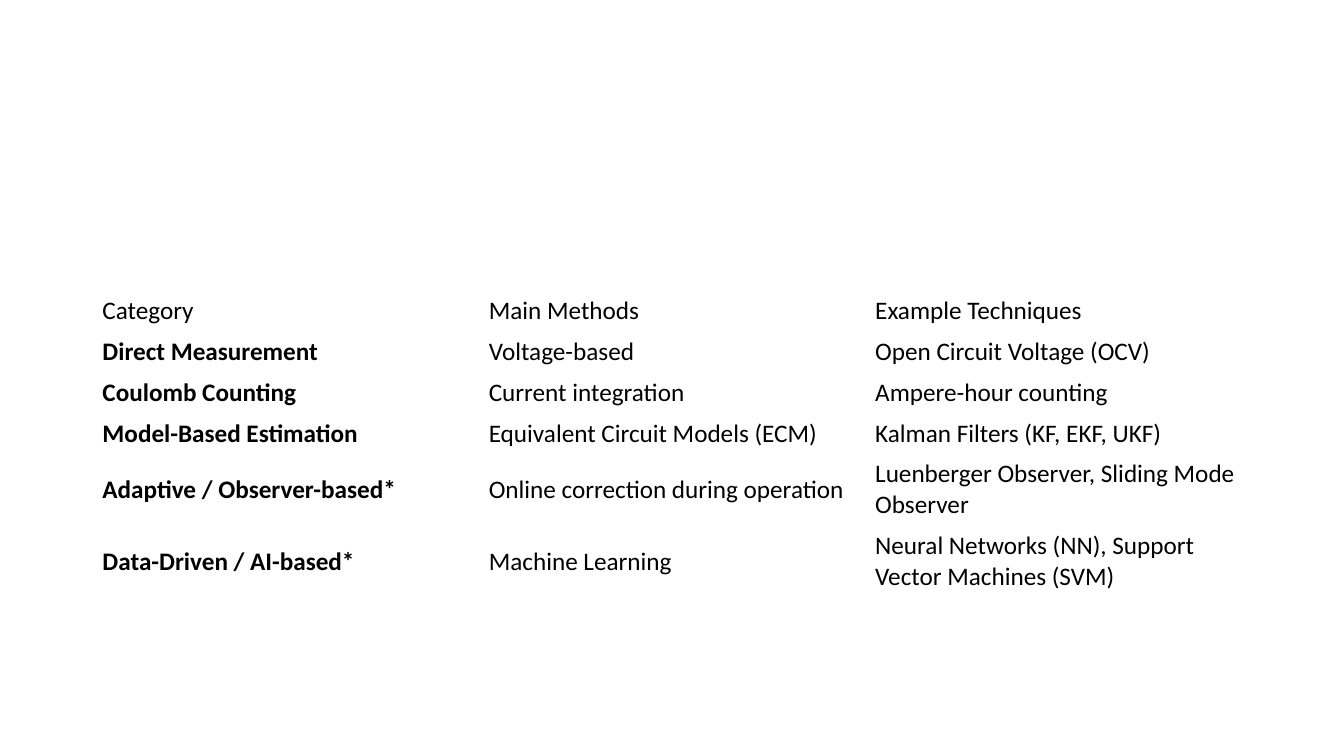
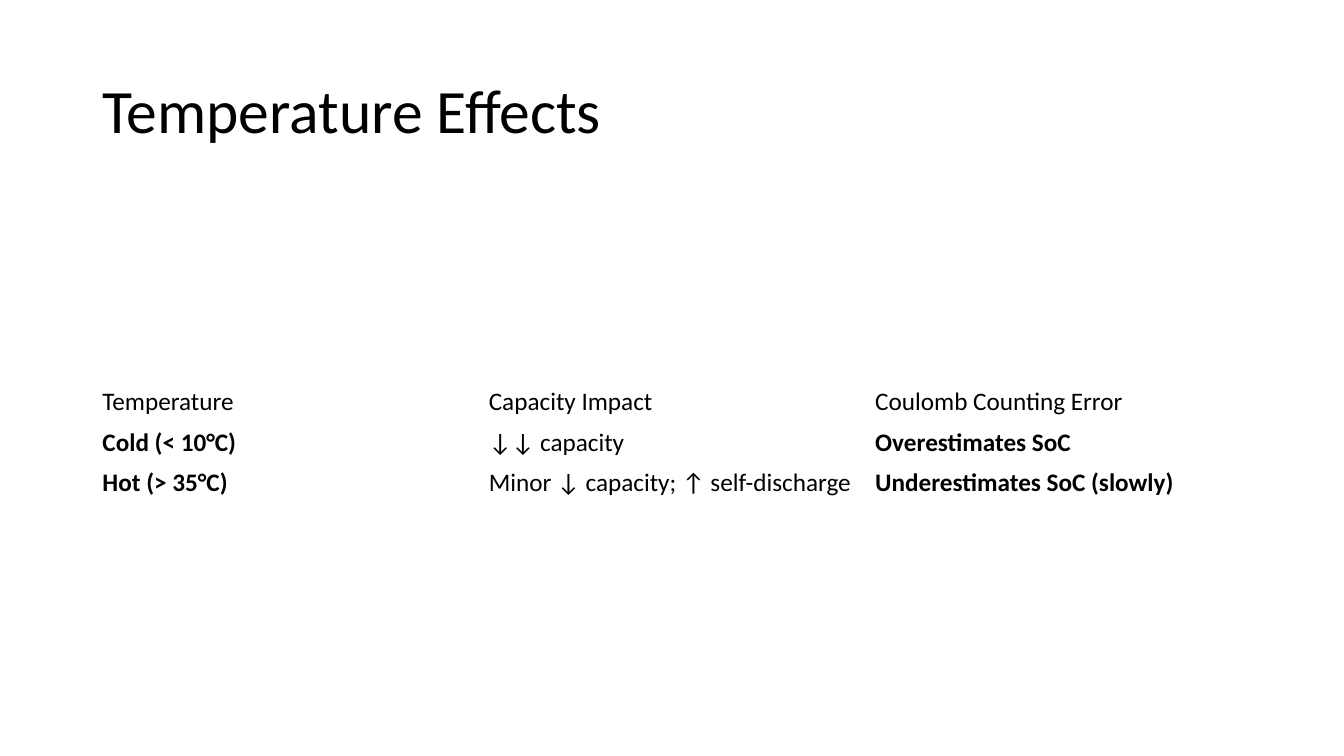
"""Build two slides on state-of-charge estimation and temperature effects."""
from dataclasses import dataclass

from pptx import Presentation
from pptx import util as u
from pptx.dml.color import RGBColor
from pptx.enum import text

INK = RGBColor(0x00, 0x00, 0x00)
FONT = "Calibri"
LEFT, WIDTH = 66, 828
TITLE_TOP, TITLE_HEIGHT = 28.8, 104.4
BODY_SIZE, TITLE_SIZE = 18, 44
LINE_HEIGHT, CELL_PADDING = 22, 7.2


@dataclass(frozen=True)
class Row:
    cells: tuple[str, ...]
    lines: int = 1

    @property
    def height(self) -> float:
        return self.lines * LINE_HEIGHT + CELL_PADDING


@dataclass(frozen=True)
class TablePage:
    top: float
    rows: tuple[Row, ...]
    bold_columns: tuple[int, ...]
    title: str = ""


PAGES = (
    TablePage(
        top=207.4,
        bold_columns=(0,),
        rows=(
            Row(("Category", "Main Methods", "Example Techniques")),
            Row(("Direct Measurement", "Voltage-based", "Open Circuit Voltage (OCV)")),
            Row(("Coulomb Counting", "Current integration", "Ampere-hour counting")),
            Row(("Model-Based Estimation", "Equivalent Circuit Models (ECM)",
                 "Kalman Filters (KF, EKF, UKF)")),
            Row(("Adaptive / Observer-based*", "Online correction during operation",
                 "Luenberger Observer, Sliding Mode Observer"), lines=2),
            Row(("Data-Driven / AI-based*", "Machine Learning",
                 "Neural Networks (NN), Support Vector Machines (SVM)"), lines=2),
        ),
    ),
    TablePage(
        title="Temperature Effects",
        top=272.2,
        bold_columns=(0, 2),
        rows=(
            Row(("Temperature", "Capacity Impact", "Coulomb Counting Error")),
            Row(("Cold (< 10°C)", "↓↓ capacity", "Overestimates SoC")),
            Row(("Hot (> 35°C)", "Minor ↓ capacity; ↑ self-discharge",
                 "Underestimates SoC (slowly)")),
        ),
    ),
)


def write(frame, words: str, *, size: float = BODY_SIZE, bold: bool = False,
          spacing: float = 1.0) -> None:
    """Fill a text frame with one formatted paragraph."""
    frame.word_wrap = True
    para = frame.paragraphs[0]
    para.line_spacing = spacing
    span = para.add_run()
    span.text = words
    span.font.name = FONT
    span.font.size = u.Pt(size)
    span.font.bold = bold
    span.font.color.rgb = INK


def add_title(page, words: str) -> None:
    """Add the slide heading."""
    box = page.shapes.add_textbox(
        u.Pt(LEFT), u.Pt(TITLE_TOP), u.Pt(WIDTH), u.Pt(TITLE_HEIGHT))
    box.text_frame.vertical_anchor = text.MSO_ANCHOR.MIDDLE
    write(box.text_frame, words, size=TITLE_SIZE, spacing=0.9)


def add_plain_table(page, content: TablePage) -> None:
    """Add an unfilled table with equal columns and a regular-weight header."""
    columns = len(content.rows[0].cells)
    height = sum(row.height for row in content.rows)
    table = page.shapes.add_table(
        len(content.rows), columns,
        u.Pt(LEFT), u.Pt(content.top), u.Pt(WIDTH), u.Pt(height)).table
    table.first_row = False
    table.horz_banding = False
    for index, row in enumerate(content.rows):
        table.rows[index].height = u.Pt(row.height)
        for column, words in enumerate(row.cells):
            cell = table.cell(index, column)
            cell.fill.background()
            cell.vertical_anchor = text.MSO_ANCHOR.MIDDLE
            write(cell.text_frame, words,
                  bold=index > 0 and column in content.bold_columns)


def main() -> None:
    """Build and save the deck."""
    deck = Presentation()
    deck.slide_width, deck.slide_height = u.Pt(960), u.Pt(540)
    blank = deck.slide_layouts[6]
    for content in PAGES:
        page = deck.slides.add_slide(blank)
        if content.title:
            add_title(page, content.title)
        add_plain_table(page, content)
    deck.save("out.pptx")


if __name__ == "__main__":
    main()
